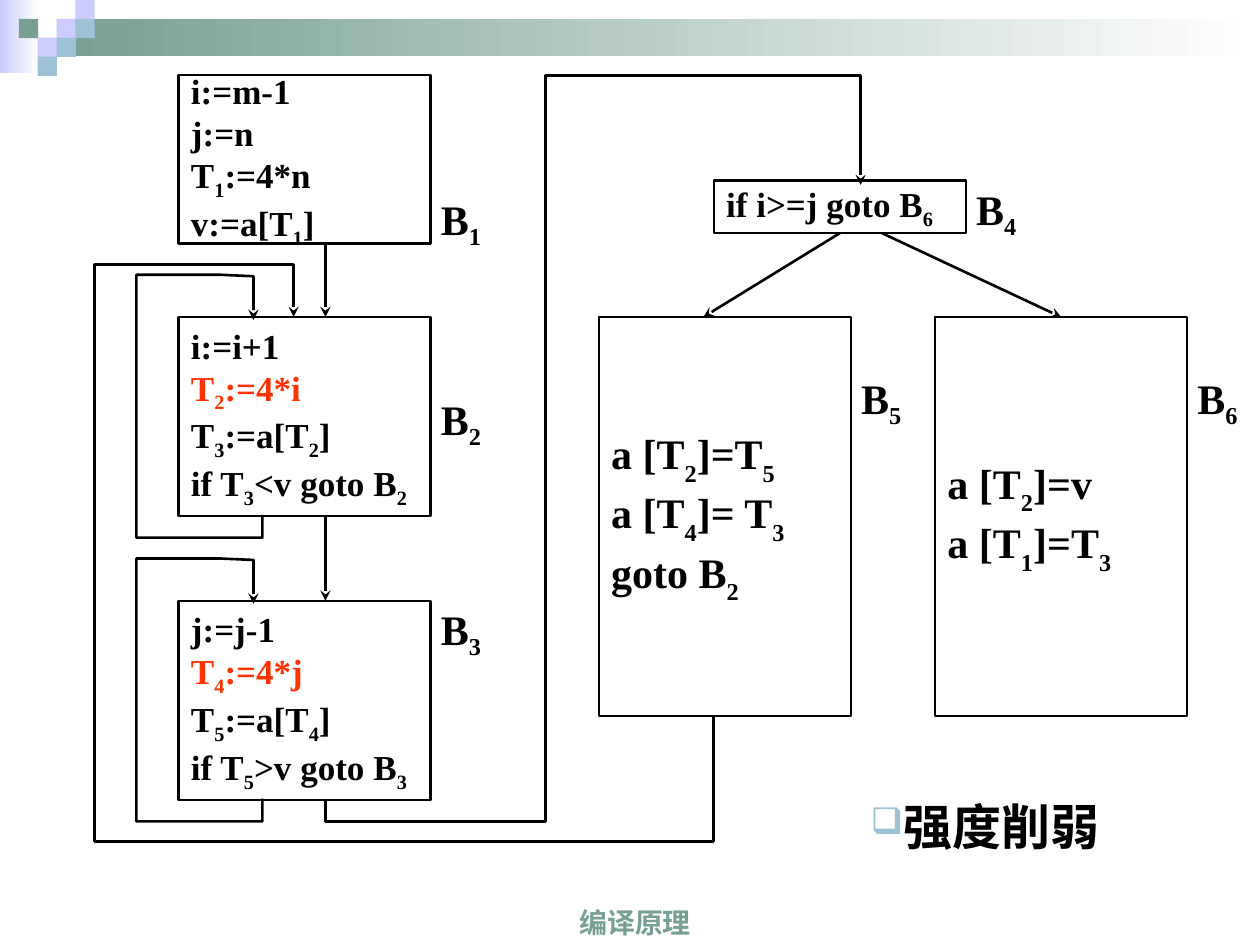
import lxml.etree
import pptx
import pptx.dml.color
import pptx.enum.shapes
import pptx.enum.text
import pptx.oxml.ns
import pptx.util

Cm, Pt = pptx.util.Cm, pptx.util.Pt
RECTANGLE = pptx.enum.shapes.MSO_SHAPE.RECTANGLE
ALIGN = pptx.enum.text.PP_ALIGN
ANCHOR = pptx.enum.text.MSO_ANCHOR

COLORS = {
    "black": "000000",
    "red": "FF3300",
    "white": "FFFFFF",
    "green": "779F92",
    "lilac": "CCCCFF",
    "sky": "9DC2D7",
}

# name, left, top, width, height, label drop, size, subscript %, lines
BLOCKS = [
    ("B_1", 3.6, 1.52, 5.08, 3.39, 2.11, 20, -25,
     ["i:=m-1", "j:=n", "T_1:=4*n", "v:=a[T_1]"]),
    ("B_2", 3.6, 6.39, 5.08, 4.02, 1.27, 20, -25,
     ["i:=i+1", "T_2:=4*i", "T_3:=a[T_2]", "if T_3<v goto B_2"]),
    ("B_3", 3.6, 12.11, 5.08, 4.02, -0.22, 20, -25,
     ["j:=j-1", "T_4:=4*j", "T_5:=a[T_4]", "if T_5>v goto B_3"]),
    ("B_4", 14.39, 3.64, 5.08, 1.06, -0.21, 20, -25, ["if i>=j goto B_6"]),
    ("B_5", 12.07, 6.39, 5.08, 8.05, 0.85, 24, -30,
     ["a [T_2]=T_5", "a [T_4]= T_3", "goto B_2"]),
    ("B_6", 18.85, 6.39, 5.08, 8.05, 0.85, 24, -30, ["a [T_2]=v", "a [T_1]=T_3"]),
]
REDUCED = ("T_2:=4*i", "T_4:=4*j")


def rgb(name):
    return pptx.dml.color.RGBColor.from_string(COLORS[name])


def add_xml(parent, tag, **attributes):
    return lxml.etree.SubElement(parent, pptx.oxml.ns.qn(tag), **attributes)


def set_font(paragraph, face, size, color):
    font = paragraph.font
    font.name, font.size, font.bold = face, Pt(size), True
    font.color.rgb = rgb(color)


def add_spans(paragraph, text, drop):
    """Write text in which each underscore lowers the next character."""
    first, *rest = text.split("_")
    paragraph.add_run().text = first
    for piece in rest:
        span = paragraph.add_run()
        span.text = piece[0]
        span.font._element.set("baseline", str(drop * 1000))
        if piece[1:]:
            paragraph.add_run().text = piece[1:]


def add_bar(page, left, top, width, height, color, fade=False):
    bar = page.shapes.add_shape(RECTANGLE, Cm(left), Cm(top), Cm(width), Cm(height))
    bar.shadow.inherit = False
    bar.line.fill.background()
    if fade:
        bar.fill.gradient()
        bar.fill.gradient_angle = 0
        for stop, name, position in zip(bar.fill.gradient_stops, (color, "white"), (0, 1)):
            stop.color.rgb = rgb(name)
            stop.position = position
    else:
        bar.fill.solid()
        bar.fill.fore_color.rgb = rgb(color)


def add_header(page, left, top, width):
    add_bar(page, left, top, 0.79, 1.47, "lilac", fade=True)
    step = 0.38
    add_bar(page, left + 3 * step, top + step, width - 3 * step, 2 * step, "green", fade=True)
    for column, row, color in [(3, 1, "lilac"), (4, 0, "lilac"), (4, 1, "sky"), (2, 2, "lilac"),
                               (1, 1, "green"), (3, 2, "sky"), (2, 3, "sky")]:
        add_bar(page, left + column * step, top + row * step, 0.39, 0.39, color)


def add_text_box(page, left, top, width, height, anchor, wrap):
    box = page.shapes.add_textbox(Cm(left), Cm(top), Cm(width), Cm(height))
    box.text_frame.word_wrap = wrap
    box.text_frame.vertical_anchor = anchor
    return box


def add_block(page, name, left, top, width, height, label_drop, size, drop, lines):
    box = page.shapes.add_shape(RECTANGLE, Cm(left), Cm(top), Cm(width), Cm(height))
    box.shadow.inherit = False
    box.fill.background()
    box.line.color.rgb = rgb("black")
    box.line.width = Pt(1.25)
    frame = box.text_frame
    frame.word_wrap = False
    frame.vertical_anchor = ANCHOR.MIDDLE
    for index, line in enumerate(lines):
        paragraph = frame.add_paragraph() if index else frame.paragraphs[0]
        paragraph.alignment = ALIGN.LEFT
        set_font(paragraph, "Times New Roman", size, "red" if line in REDUCED else "black")
        add_spans(paragraph, line, drop)

    # Block name beside the box
    label = add_text_box(page, left + width - 0.23, top + label_drop, 1.69, 1.69,
                         ANCHOR.MIDDLE, False)
    paragraph = label.text_frame.paragraphs[0]
    paragraph.alignment = ALIGN.CENTER
    set_font(paragraph, "Times New Roman", 24, "black")
    add_spans(paragraph, name, -25)
    return box


def style_arrow(arrow):
    arrow.line.color.rgb = rgb("black")
    arrow.line.width = Pt(1.5)
    add_xml(arrow.line._get_or_add_ln(), "a:tailEnd", type="stealth")


def add_arrow(page, start, end):
    arrow = page.shapes.add_connector(pptx.enum.shapes.MSO_CONNECTOR.STRAIGHT,
                                      *map(Cm, start + end))
    style_arrow(arrow)
    add_xml(arrow._element.spPr, "a:effectLst")
    return arrow


def add_route(page, points):
    start, *rest = [(Cm(x), Cm(y)) for x, y in points]
    builder = page.shapes.build_freeform(*start)
    builder.add_line_segments(rest, close=False)
    route = builder.convert_to_shape()
    route.shadow.inherit = False
    route.fill.background()
    style_arrow(route)


def add_flow(page, boxes):
    # Straight arrows
    add_arrow(page, (6.56, 4.91), (6.56, 6.39))
    add_arrow(page, (6.56, 10.41), (6.56, 12.11))
    add_arrow(page, (16.93, 4.7), (14.18, 6.39)).begin_connect(boxes["B_4"], 2)
    add_arrow(page, (17.78, 4.7), (21.39, 6.39)).end_connect(boxes["B_6"], 0)

    # Loops of B2 and B3 back to themselves
    for top in (5.54, 11.26):
        add_route(page, [(5.29, top + 4.84), (5.29, top + 5.3), (2.75, top + 5.3), (2.75, top),
                         (4.45, top), (5.11, top + 0.03), (5.11, top + 0.91)])

    # B3 to B4, and B5 back to B2
    add_route(page, [(6.56, 16.11), (6.56, 16.56), (11, 16.56), (11, 1.52),
                     (17.35, 1.52), (17.35, 3.73)])
    add_route(page, [(14.39, 14.44), (14.39, 16.97), (1.91, 16.97), (1.91, 5.33),
                     (5.92, 5.33), (5.92, 6.39)])


def add_topic(page, left, top, width, height):
    box = add_text_box(page, left, top, width, height, ANCHOR.TOP, True)
    box.text_frame.auto_size = pptx.enum.text.MSO_AUTO_SIZE.SHAPE_TO_FIT_TEXT
    paragraph = box.text_frame.paragraphs[0]
    properties = paragraph._p.get_or_add_pPr()
    add_xml(add_xml(properties, "a:buClr"), "a:srgbClr", val=COLORS["sky"])
    add_xml(properties, "a:buSzPct", val="75000")
    add_xml(properties, "a:buChar", char="❑")
    set_font(paragraph, "Times New Roman", 28, "black")
    paragraph.add_run().text = "强度削弱"


def add_footer(page, left, top, width, height):
    box = add_text_box(page, left, top, width, height, ANCHOR.BOTTOM, True)
    paragraph = box.text_frame.paragraphs[0]
    paragraph.alignment = ALIGN.CENTER
    set_font(paragraph, "Arial", 16, "green")
    paragraph.add_run().text = "编译原理"


def main():
    deck = pptx.Presentation()
    deck.slide_width, deck.slide_height = Cm(25.4), Cm(19.05)
    page = deck.slides.add_slide(deck.slide_layouts[6])
    add_header(page, 0, 0, 25.4)
    add_footer(page, 8.31, 17.78, 8.99, 1.27)
    add_topic(page, 17.3, 15.93, 5.79, 1.45)
    boxes = {block[0]: add_block(page, *block) for block in BLOCKS}
    add_flow(page, boxes)
    deck.save("out.pptx")


if __name__ == "__main__":
    main()
